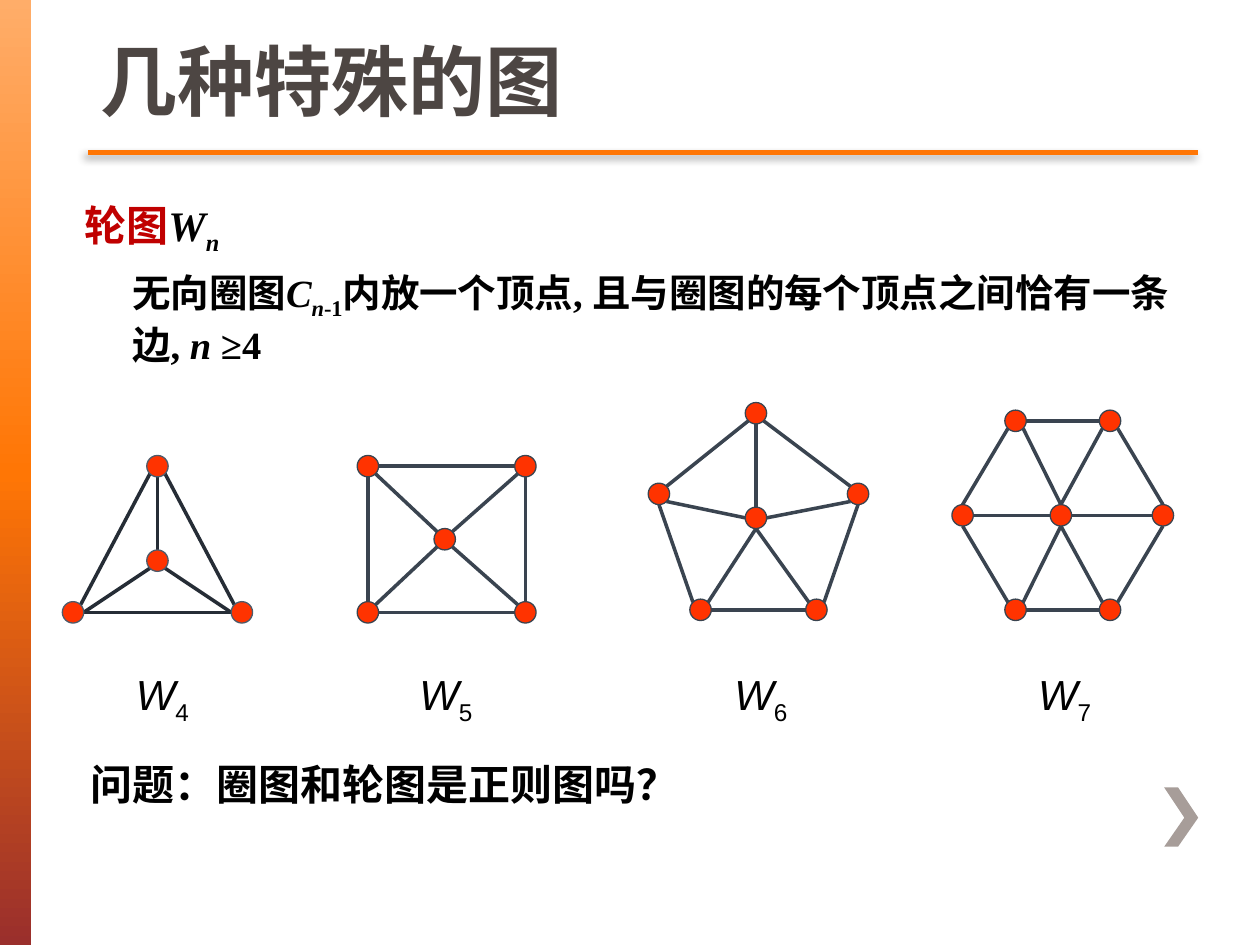
from copy import deepcopy
from math import cos, radians, sin

from lxml import etree
from pptx import Presentation
from pptx.dml.color import RGBColor
from pptx.enum.shapes import MSO_CONNECTOR, MSO_SHAPE
from pptx.enum.text import MSO_ANCHOR, MSO_AUTO_SIZE, PP_ALIGN
from pptx.oxml.ns import qn
from pptx.util import Inches, Pt

STRAIGHT = MSO_CONNECTOR.STRAIGHT
RECTANGLE = MSO_SHAPE.RECTANGLE
NODE = MSO_SHAPE.FLOWCHART_CONNECTOR
LEFT = PP_ALIGN.LEFT
TOP, BOTTOM = MSO_ANCHOR.TOP, MSO_ANCHOR.BOTTOM
NO_FIT = MSO_AUTO_SIZE.NONE

COLORS = {
    "title": "4D4643", "accent": "FF7605", "light": "FFAD69", "dark": "9A2F2C",
    "chevron": "A79D99", "term": "C00000", "text": "000000", "node": "FF3300",
    "edge": "3A4450", "triangle edge": "262D36", "triangle node": "4D5B6B",
}
NODE_SIZE = 0.17
COMPASS = {name: 45 * turn for turn, name in enumerate("E SE S SW W NW N NE".split())}

WHEELS = [
    {"number": "4", "label": 0.98, "edge": "triangle edge", "outline": "triangle node",
     "vertices": [(0.58, 4.86), (1.92, 4.86), (1.25, 3.7), (1.25, 4.45)],
     "edges": "0.NE-2.SW 0.E-1.W 1.NW-2.SE 0.E-3.SW 1.W-3.SE 3.N-2.S"},
    {"number": "5", "label": 3.23, "edge": "edge", "outline": "edge",
     "vertices": [(2.92, 4.86), (4.17, 4.86), (2.92, 3.7), (4.17, 3.7), (3.53, 4.28)],
     "edges": "0.N-2.S 2.E-3.W 3.S-1.N 0.E-1.W 0.NE-4.SW 4.NW-2.SE 4.NE-3.SW 4.SE-1.NW"},
    {"number": "6", "label": 5.73, "edge": "edge", "outline": "edge",
     "vertices": [(5.56, 4.84), (6.48, 4.84), (5.23, 3.92), (6.81, 3.92),
                  (6, 3.28), (6, 4.11)],
     "edges": "2.S-0.NW 0.E-1.W 1.NE-3.S 3.NW-4.SE 2.NE-4.SW "
              "0.NE-5.S 1.NW-5.S 2.SE-5.W 5.E-3.SW 5.N-4.S"},
    {"number": "7", "label": 8.14, "edge": "edge", "outline": "edge",
     "vertices": [(8.06, 4.84), (8.81, 4.84), (7.64, 4.09), (9.23, 4.09),
                  (8.06, 3.34), (8.81, 3.34), (8.42, 4.09)],
     "edges": "2.S-0.NW 0.E-1.W 1.NE-3.S 3.N-5.SE 2.N-4.SW 4.E-5.W "
              "0.NE-6.S 1.NW-6.S 2.E-6.W 6.E-3.W 6.N-4.SE 6.N-5.SW"},
]


def color(name):
    return RGBColor.from_string(COLORS[name])


class Slide:
    def __init__(self, deck):
        self.page = deck.slides.add_slide(deck.slide_layouts[1])
        self.shapes = self.page.shapes

    def place(self, box, left, top, width, height):
        box.left, box.top = Inches(left), Inches(top)
        box.width, box.height = Inches(width), Inches(height)

    def style(self, para, size, font, bold=None, shade="text"):
        para.font.size, para.font.name = Pt(size), font
        para.font.bold = bold
        para.font.color.rgb = color(shade)

    def spans(self, para, parts):
        for text, look in parts:
            span = para.add_run()
            span.text = text
            if "i" in look:
                span.font.italic = True
            if "_" in look:
                span.font._element.set("baseline", "-25000")
            if "r" in look:
                span.font.color.rgb = color("term")

    def title(self, text):
        box = self.shapes.title
        self.place(box, 0.7, 0, 8.76, 1.05)
        frame = box.text_frame
        frame.text = text
        frame.auto_size, frame.vertical_anchor = NO_FIT, BOTTOM
        para = frame.paragraphs[0]
        para.alignment = LEFT
        self.style(para, 44, "Arial", True, "title")

    def body(self, entries):
        box = self.page.placeholders[1]
        self.place(box, 0.57, 1.53, 9.09, 3.08)
        frame = box.text_frame
        frame.auto_size, frame.vertical_anchor = NO_FIT, TOP
        for index, (size, indent, parts) in enumerate(entries):
            para = frame.add_paragraph() if index else frame.paragraphs[0]
            properties = para._p.get_or_add_pPr()
            properties.set("marL", str(Inches(0.38)))
            properties.set("indent", str(Inches(indent)))
            para.space_before = Pt(7 if index else 0)
            etree.SubElement(properties, qn("a:buNone"))
            self.style(para, size, "Times New Roman", True)
            self.spans(para, parts)

    def text(self, left, top, width, parts, bold=None):
        box = self.shapes.add_textbox(Inches(left), Inches(top), Inches(width), Inches(0.5))
        frame = box.text_frame
        frame.word_wrap = True
        self.style(frame.paragraphs[0], 24, "Arial", bold)
        self.spans(frame.paragraphs[0], parts)

    def line(self, shapes, start, end, shade, width):
        ends = [Inches(value) for value in (*start, *end)]
        line = shapes.add_connector(STRAIGHT, *ends)
        line.line.color.rgb, line.line.width = color(shade), Pt(width)
        return etree.SubElement(line._element.spPr, qn("a:effectLst"))

    def rule(self):
        effects = self.line(self.shapes, (0.7, 1.21), (9.51, 1.21), "accent", 2.5)
        shadow = etree.SubElement(effects, qn("a:outerShdw"), blurRad=str(Pt(5)),
                                  dist=str(Pt(3)), dir=str(135 * 60000))
        black = etree.SubElement(shadow, qn("a:srgbClr"), val=COLORS["text"])
        etree.SubElement(black, qn("a:alpha"), val="45000")

    def side_band(self):
        band = self.shapes.add_shape(RECTANGLE, 0, 0, Inches(0.25), Inches(7.5))
        band.shadow.inherit = False
        band.line.fill.background()
        band.fill.gradient()
        band.fill.gradient_angle = 270
        first = band.fill.gradient_stops[0]._gs
        first.addnext(deepcopy(first))
        for stop, position, shade in zip(band.fill.gradient_stops, (0, 0.5, 1),
                                         ("light", "accent", "dark")):
            stop.position = position
            stop.color.rgb = color(shade)

    def chevron(self):
        builder = self.shapes.build_freeform(935, 625, scale=Inches(0.01))
        builder.add_line_segments([(924, 625), (940, 649), (924, 672),
                                   (935, 672), (951, 649)])
        shape = builder.convert_to_shape()
        shape.shadow.inherit = False
        shape.fill.solid()
        shape.fill.fore_color.rgb = color("chevron")
        shape.line.fill.background()

    def wheel(self, number, label, vertices, edges, edge, outline):
        shapes = self.shapes.add_group_shape().shapes

        def site(end):
            vertex, side = end.split(".")
            x, y = vertices[int(vertex)]
            angle = radians(COMPASS[side])
            return x + NODE_SIZE / 2 * cos(angle), y + NODE_SIZE / 2 * sin(angle)

        for pair in edges.split():
            start, end = map(site, pair.split("-"))
            self.line(shapes, start, end, edge, 2)
        for x, y in vertices:
            node = shapes.add_shape(NODE, Inches(x - NODE_SIZE / 2), Inches(y - NODE_SIZE / 2),
                                    Inches(NODE_SIZE), Inches(NODE_SIZE))
            node.shadow.inherit = False
            node.fill.solid()
            node.fill.fore_color.rgb = color("node")
            node.line.color.rgb, node.line.width = color(outline), Pt(0.75)
        self.text(label, 5.26, 0.86, [("W", "i"), (number, "_")])


def main():
    deck = Presentation()
    deck.slide_width, deck.slide_height = Inches(10), Inches(7.5)
    slide = Slide(deck)
    slide.side_band()
    slide.chevron()
    slide.rule()
    slide.title("几种特殊的图")
    slide.body([
        (24, -0.38, [("轮图", "r"), ("W", "i"), ("n", "i_")]),
        (22, 0, [("无向圈图", ""), ("C", "i"), ("n", "i_"), ("-1", "_"),
                 ("内放一个顶点, 且与圈图的每个顶点之间恰有一条边, ", ""),
                 ("n ", "i"), ("≥4", "")]),
    ])
    for wheel in WHEELS:
        slide.wheel(**wheel)
    slide.text(0.62, 5.97, 5.27, [("问题：圈图和轮图是正则图吗？", "")], True)
    deck.save("out.pptx")


if __name__ == "__main__":
    main()
